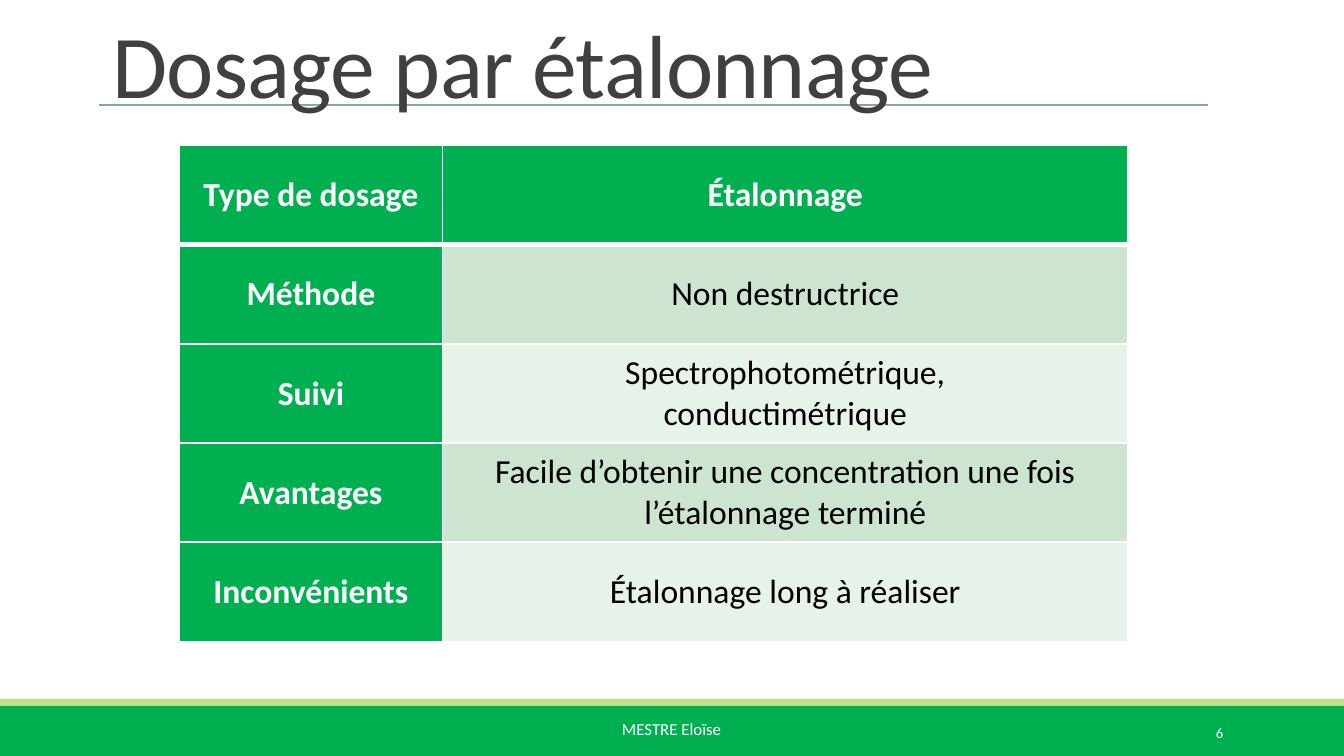
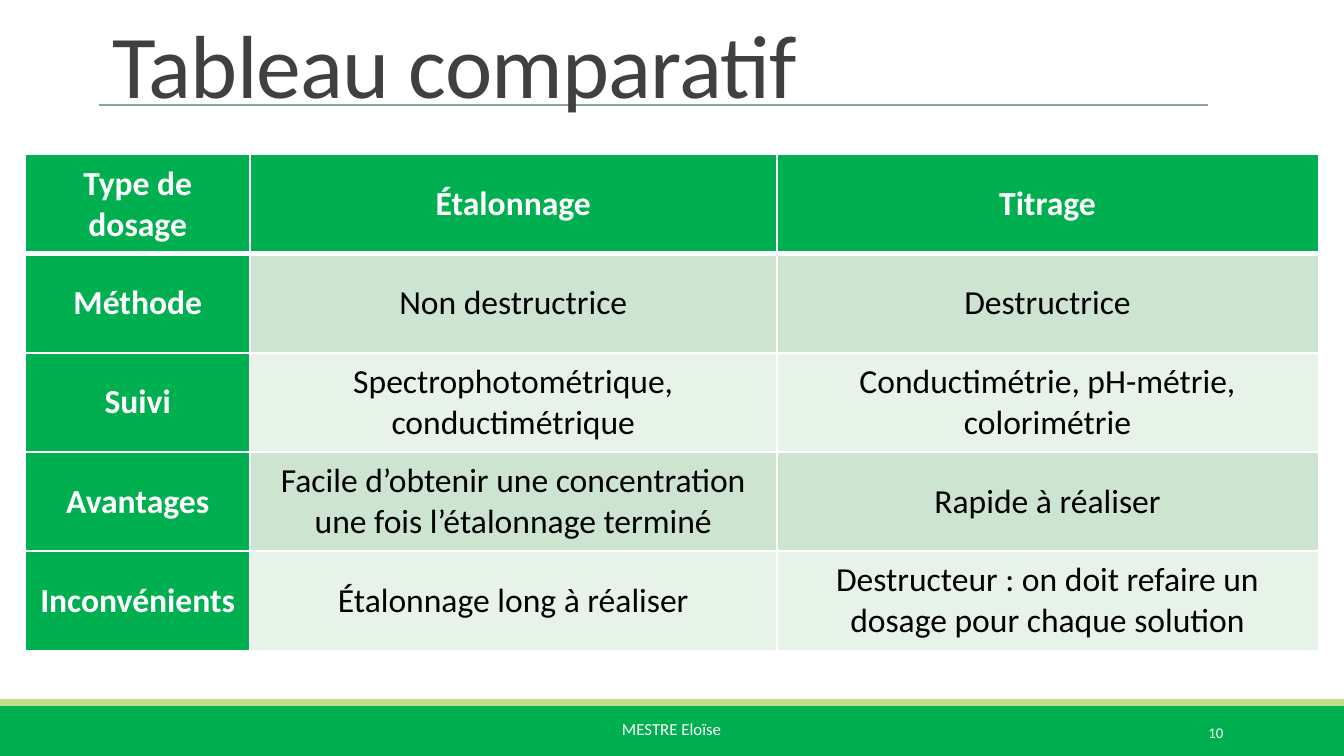
"""Builds two slides of tables on chemical dosage methods."""
import pptx
import pptx.dml.color
import pptx.enum.shapes
import pptx.enum.text
import pptx.oxml
import pptx.oxml.ns
import pptx.util

Pt = pptx.util.Pt
RGBColor = pptx.dml.color.RGBColor
ALIGN = pptx.enum.text.PP_ALIGN
ANCHOR = pptx.enum.text.MSO_ANCHOR
AUTO_SIZE = pptx.enum.text.MSO_AUTO_SIZE

GREEN = RGBColor(0x00, 0xB0, 0x50)
LIME = RGBColor(0xC1, 0xDF, 0x87)
RULE_GREY = RGBColor(0x87, 0xA8, 0x96)
TITLE_GREY = RGBColor(0x40, 0x40, 0x40)
WHITE = RGBColor(0xFF, 0xFF, 0xFF)
BLACK = RGBColor(0x00, 0x00, 0x00)
ROW_TINTS = (RGBColor(0xCC, 0xE4, 0xD0), RGBColor(0xE7, 0xF2, 0xE9))

PAGE_WIDTH, PAGE_HEIGHT = 720, 405
LEFT, RIGHT = 53.28, 647.28
ROW_HEIGHT = 53.14

TITLE_FONT = {"name": "Calibri", "size": Pt(48), "color": TITLE_GREY}
FOOTER_FONT = {"name": "Calibri", "size": Pt(9), "color": WHITE}
NUMBER_FONT = {"name": "Calibri", "size": Pt(7.9), "color": WHITE}
HEADING_FONT = {"name": "Calibri", "size": Pt(18), "color": WHITE, "bold": True}
BODY_FONT = {"name": "Calibri", "size": Pt(18), "color": BLACK, "bold": False}

HEADINGS = ["Type de dosage", "Méthode", "Suivi", "Avantages", "Inconvénients"]
CALIBRATION = [
    "Étalonnage",
    "Non destructrice",
    "Spectrophotométrique,\nconductimétrique",
    "Facile d’obtenir une concentration une fois l’étalonnage terminé",
    "Étalonnage long à réaliser",
]
TITRATION = [
    "Titrage",
    "Destructrice",
    "Conductimétrie, pH-métrie, colorimétrie",
    "Rapide à réaliser",
    "Destructeur : on doit refaire un dosage pour chaque solution",
]


def apply_formats(target, formats):
    """Set each format value on the target."""
    for name, value in formats.items():
        if name == "color":
            target.color.rgb = value
        else:
            setattr(target, name, value)


def write_text(frame, text, font, paragraph_formats):
    """Write one paragraph per line of text."""
    for index, line in enumerate(text.split("\n")):
        para = frame.add_paragraph() if index else frame.paragraphs[0]
        apply_formats(para, paragraph_formats)
        span = para.add_run()
        span.text = line
        apply_formats(span.font, font)


def add_text(page, place, text, font, frame_formats, paragraph_formats):
    """Add a text box and return it."""
    box = page.shapes.add_textbox(*map(Pt, place))
    apply_formats(box.text_frame, {"word_wrap": True, **frame_formats})
    write_text(box.text_frame, text, font, paragraph_formats)
    return box


def add_band(page, top, height, color):
    """Add a plain band across the page."""
    band = page.shapes.add_shape(
        pptx.enum.shapes.MSO_SHAPE.RECTANGLE,
        Pt(0), Pt(top), Pt(PAGE_WIDTH), Pt(height))
    band.shadow.inherit = False
    band.fill.solid()
    band.fill.fore_color.rgb = color
    band.line.fill.background()


def add_title_rule(page):
    """Add the thin line under the title."""
    rule = page.shapes.add_connector(
        pptx.enum.shapes.MSO_CONNECTOR.STRAIGHT,
        Pt(LEFT), Pt(56.16), Pt(RIGHT), Pt(56.16))
    apply_formats(rule.line, {"width": Pt(1), "color": RULE_GREY})
    rule._element.spPr.append(
        pptx.oxml.parse_xml(f'<a:effectLst {pptx.oxml.ns.nsdecls("a")}/>'))


def add_title(page, title):
    """Add the slide title with slightly tightened letters."""
    box = add_text(page, (LEFT, 11.52, RIGHT - LEFT, 54.72), title, TITLE_FONT,
                   {"vertical_anchor": ANCHOR.BOTTOM}, {"line_spacing": 0.85})
    span = box.text_frame.paragraphs[0].runs[0]
    span.font._element.set("spc", "-40")


def start_page(deck, title, number):
    """Add a page with the shared bands, footer and title."""
    page = deck.slides.add_slide(deck.slide_layouts[6])
    add_band(page, 378, 27, GREEN)
    add_band(page, 374.4, 3.6, LIME)
    add_title_rule(page)
    add_text(page, (326.16, 381.6, 67.68, 32.4), "MESTRE Eloïse", FOOTER_FONT,
             {"word_wrap": False, "auto_size": AUTO_SIZE.SHAPE_TO_FIT_TEXT}, {})
    add_text(page, (584.64, 381.6, 77.76, 21.6), str(number), NUMBER_FONT,
             {"vertical_anchor": ANCHOR.MIDDLE}, {"alignment": ALIGN.RIGHT})
    add_title(page, title)
    return page


def set_borders(cell, row):
    """Draw white borders, thicker under the header row."""
    widths = {"lnL": 1, "lnR": 1, "lnT": 3 if row == 1 else 1,
              "lnB": 3 if row == 0 else 1}
    properties = cell._tc.get_or_add_tcPr()
    for side, width in widths.items():
        properties.append(pptx.oxml.parse_xml(
            f'<a:{side} {pptx.oxml.ns.nsdecls("a")} w="{Pt(width)}">'
            f'<a:solidFill><a:srgbClr val="{WHITE}"/></a:solidFill></a:{side}>'))


def add_dosage_table(page, left, top, widths, columns):
    """Add a table from columns of text, headings first."""
    row_count = len(columns[0])
    table = page.shapes.add_table(
        row_count, len(columns), Pt(left), Pt(top),
        Pt(sum(widths)), Pt(ROW_HEIGHT * row_count)).table
    table.first_col = True
    for row in table.rows:
        row.height = Pt(ROW_HEIGHT)
    for column, (width, texts) in enumerate(zip(widths, columns)):
        table.columns[column].width = Pt(width)
        for row, text in enumerate(texts):
            heading = row == 0 or column == 0
            cell = table.cell(row, column)
            set_borders(cell, row)
            cell.fill.solid()
            cell.fill.fore_color.rgb = GREEN if heading else ROW_TINTS[(row - 1) % 2]
            cell.vertical_anchor = ANCHOR.MIDDLE
            write_text(cell.text_frame, text,
                       HEADING_FONT if heading else BODY_FONT,
                       {"alignment": ALIGN.CENTER})


def main():
    """Build and save the deck."""
    deck = pptx.Presentation()
    apply_formats(deck, {"slide_width": Pt(PAGE_WIDTH),
                         "slide_height": Pt(PAGE_HEIGHT)})
    page = start_page(deck, "Dosage par étalonnage", 6)
    add_dosage_table(page, 96, 78, (141.12, 367.2), (HEADINGS, CALIBRATION))
    page = start_page(deck, "Tableau comparatif", 10)
    add_dosage_table(page, 13.68, 82.8, (120.24, 282.24, 290.16),
                     (HEADINGS, CALIBRATION, TITRATION))
    deck.save("out.pptx")


if __name__ == "__main__":
    main()
